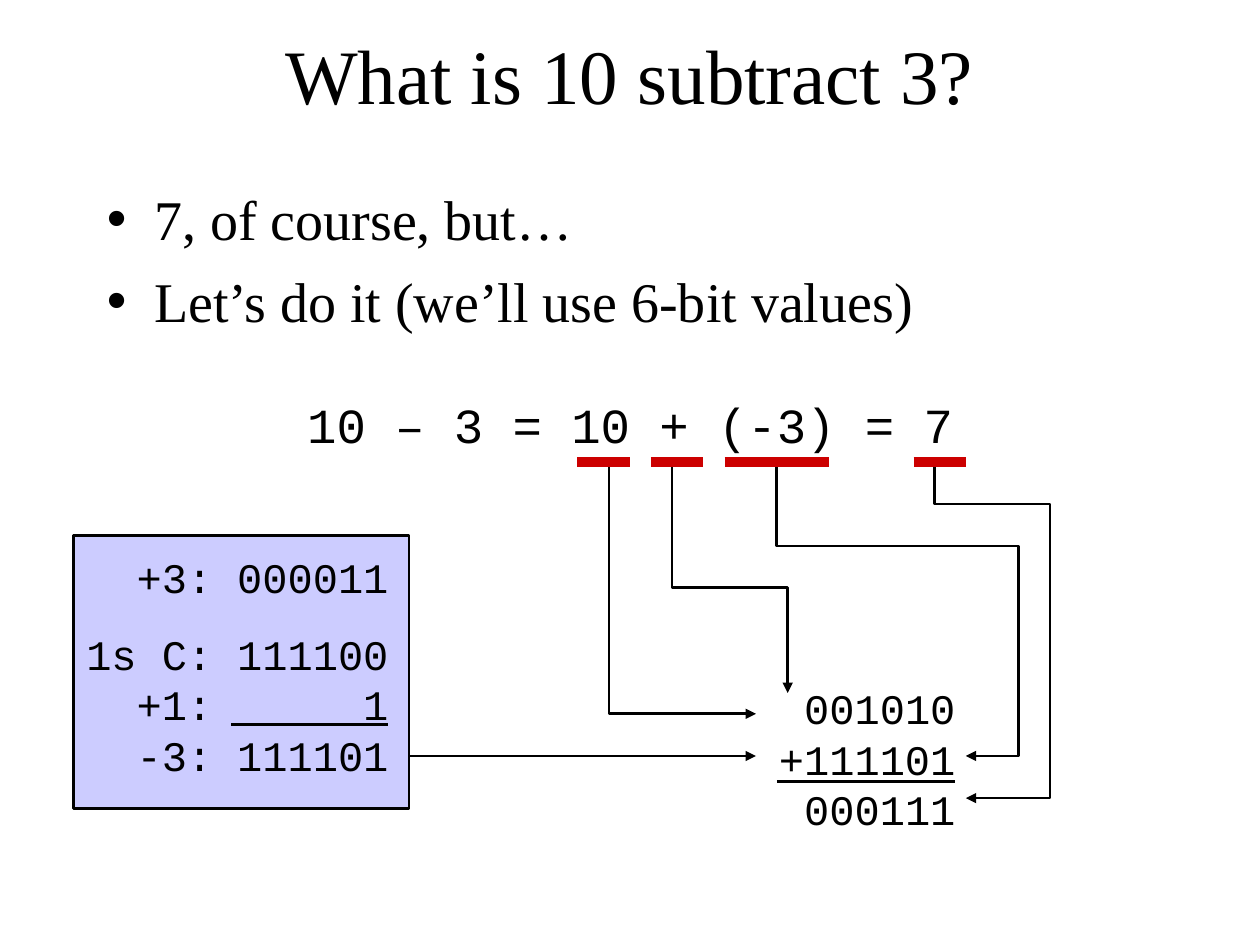
"""Build a slide that works out 10 - 3 with six-bit two's complement values."""
from lxml.etree import SubElement
from pptx import Presentation
from pptx.dml.color import RGBColor
from pptx.enum.shapes import MSO_CONNECTOR as Connector, MSO_SHAPE as Shape
from pptx.enum.text import MSO_ANCHOR as Anchor, MSO_AUTO_SIZE as Fit, PP_ALIGN as Align
from pptx.oxml.ns import qn
from pptx.util import Cm, Pt

COLORS = {"ink": "000000", "panel": "CCCCFF", "marker": "CC0000"}
SERIF, MONO = "Times New Roman", "Courier New"


def write(box, paragraphs, font, size, align, before):
    frame = box.text_frame
    frame.word_wrap = True
    frame.auto_size = Fit.NONE
    for index, text in enumerate(paragraphs):
        para = frame.paragraphs[0] if index == 0 else frame.add_paragraph()
        para.text = text
        para.alignment = align
        para.space_before = Pt(before)
        for span in para.runs:
            span.font.name = font
            span.font.size = Pt(size)
            span.font.color.rgb = RGBColor.from_string(COLORS["ink"])


def stroke(shape, color="ink", width=1.5, arrow=False):
    shape.line.color.rgb = RGBColor.from_string(COLORS[color])
    shape.line.width = Pt(width)
    if arrow:
        SubElement(shape.line._get_or_add_ln(), qn("a:tailEnd"), type="triangle")
    SubElement(shape._element.spPr, qn("a:effectLst"))


deck = Presentation()
deck.slide_width, deck.slide_height = Cm(25.4), Cm(19.05)
page = deck.slides.add_slide(deck.slide_layouts[1])
shapes = page.shapes

title, body = page.placeholders
title.left, title.top, title.width, title.height = Cm(1.9), Cm(0.42), Cm(21.59), Cm(2.12)
title.text_frame.vertical_anchor = Anchor.MIDDLE
write(title, ["What is 10 subtract 3?"], SERIF, 44, Align.CENTER, 0)

body.left, body.top, body.width, body.height = Cm(1.9), Cm(3.6), Cm(21.59), Cm(11.43)
bullets = ["7, of course, but…", "Let’s do it (we’ll use 6-bit values)"]
write(body, bullets, SERIF, 32, Align.LEFT, 8)

equation = shapes.add_textbox(Cm(4.45), Cm(7.83), Cm(16.51), Cm(1.44))
write(equation, ["10 – 3 = 10 + (-3) = 7"], MONO, 28, Align.CENTER, 17.5)

panel = shapes.add_shape(Shape.RECTANGLE, Cm(1.48), Cm(10.8), Cm(6.77), Cm(5.5))
panel.fill.solid()
panel.fill.fore_color.rgb = RGBColor.from_string(COLORS["panel"])
stroke(panel)

addition = shapes.add_textbox(Cm(15.45), Cm(13.64), Cm(4.45), Cm(3.3))
addition.text_frame.margin_left = 0
addition.text_frame.margin_right = Cm(0.64)
write(addition, ["001010\n+111101\n000111"], MONO, 24, Align.RIGHT, 15)

negation = shapes.add_textbox(Cm(1.48), Cm(11), Cm(7.62), Cm(4.85))
steps = ["\t+3:\t000011", "\t1s C:\t111100\n\t+1:\t1\n\t-3:\t111101"]
write(negation, steps, MONO, 24, Align.LEFT, 15)
for para in negation.text_frame.paragraphs:
    tabs = SubElement(para._p.get_or_add_pPr(), qn("a:tabLst"))
    for stop in (2.55, 6.1):
        SubElement(tabs, qn("a:tab"), pos=str(Cm(stop)), algn="r")

marker_y = 9.31
lines = [
    (4.66, 7.83, 14.61, "ink", 1.5, False),
    (15.66, 19.26, 15.75, "ink", 1.5, False),
    (8.26, 15.24, 15.24, "ink", 1.5, True),
]
routes = [
    [(12.28, marker_y), (12.28, 14.39), (15.24, 14.39)],
    [(13.55, marker_y), (13.55, 11.85), (15.88, 11.85), (15.88, 13.97)],
    [(15.66, marker_y), (15.66, 11.01), (20.53, 11.01), (20.53, 15.24), (19.47, 15.24)],
    [(18.84, marker_y), (18.84, 10.16), (21.17, 10.16), (21.17, 16.09), (19.47, 16.09)],
]
markers = [(11.64, 12.7), (13.12, 14.18), (14.61, 16.72), (18.42, 19.47)]

for route in routes:
    points = [(Cm(x), Cm(y)) for x, y in route]
    builder = shapes.build_freeform(*points[0])
    builder.add_line_segments(points[1:], close=False)
    bend = builder.convert_to_shape()
    bend.fill.background()
    stroke(bend, arrow=True)

lines += [(left, right, marker_y, "marker", 6, False) for left, right in markers]
for left, right, y, color, width, arrow in lines:
    line = shapes.add_connector(Connector.STRAIGHT, Cm(left), Cm(y), Cm(right), Cm(y))
    stroke(line, color, width, arrow)

deck.save("out.pptx")
